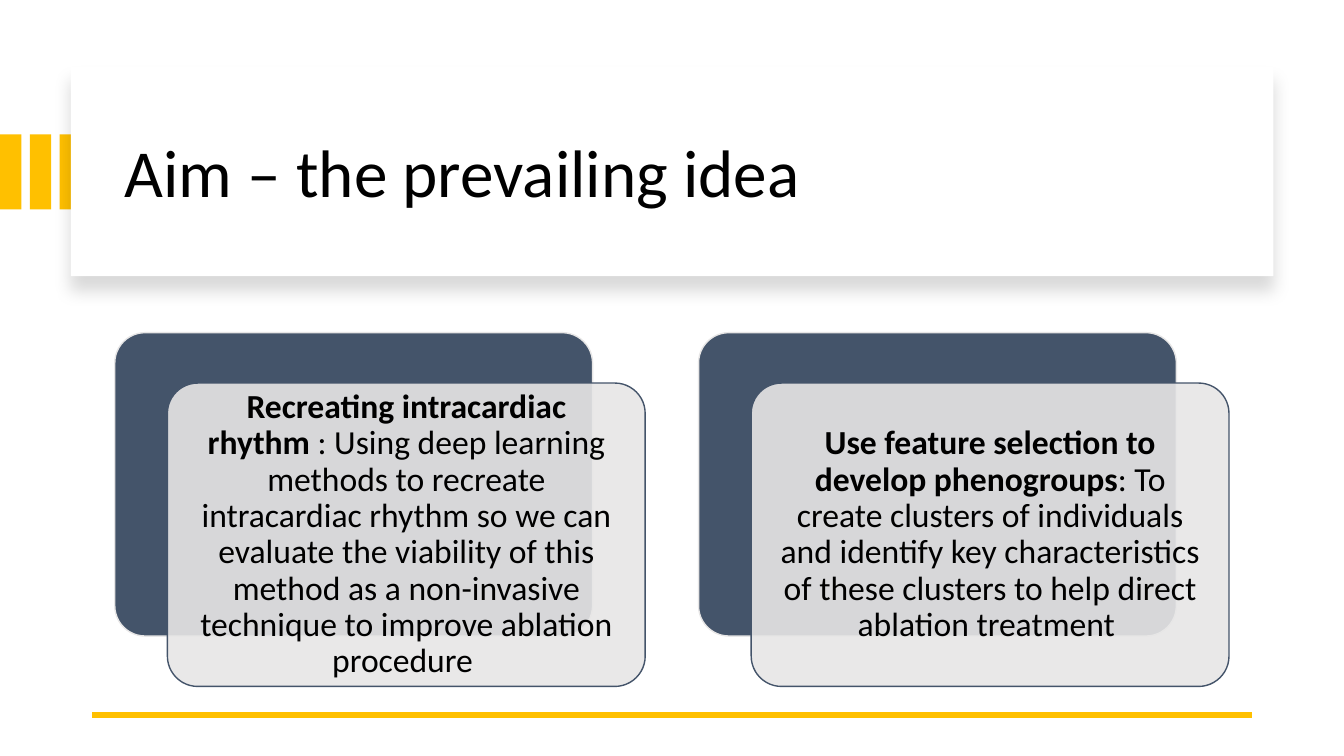
from dataclasses import dataclass

from lxml import etree
from pptx import Presentation
from pptx import util as u
from pptx.dml import color as col
from pptx.enum import shapes, text
from pptx.oxml import ns

Pt = u.Pt


@dataclass(frozen=True)
class Theme:
    gold: str = "FFC000"
    navy: str = "44546A"
    pale: str = "E7E6E6"
    white: str = "FFFFFF"
    ink: str = "000000"
    font: str = "Calibri"
    head: int = 48
    body: int = 24


def rgb(code):
    return col.RGBColor.from_string(code)


def sub(node, tag, **attrs):
    return etree.SubElement(node, ns.qn(tag), {k: str(v) for k, v in attrs.items()})


def write(frame, runs, *, size, font, ink, align=text.PP_ALIGN.LEFT, inset=(7.2, 3.6)):
    frame.word_wrap = True
    frame.vertical_anchor = text.MSO_ANCHOR.MIDDLE
    frame.margin_left = frame.margin_right = Pt(inset[0])
    frame.margin_top = frame.margin_bottom = Pt(inset[1])
    para = frame.paragraphs[0]
    para.alignment = align
    para.line_spacing = 0.9
    for words, bold in runs:
        run = para.add_run()
        run.text = words
        run.font.name = font
        run.font.size = Pt(size)
        run.font.bold = bold
        run.font.color.rgb = rgb(ink)


class Deck:
    def __init__(self, theme):
        self.theme = theme
        self.prs = Presentation()
        self.prs.slide_width, self.prs.slide_height = Pt(960), Pt(540)
        self.slide = self.prs.slides.add_slide(self.prs.slide_layouts[6])

    def block(self, x, y, w, h, fill, line=None, round=None, alpha=None):
        kind = shapes.MSO_SHAPE.RECTANGLE if round is None else shapes.MSO_SHAPE.ROUNDED_RECTANGLE
        box = self.slide.shapes.add_shape(kind, Pt(x), Pt(y), Pt(w), Pt(h))
        box.shadow.inherit = False
        if round is not None:
            box.adjustments[0] = round
        box.fill.solid()
        box.fill.fore_color.rgb = rgb(fill)
        if alpha is not None:
            tint = box.fill._xPr.find(".//" + ns.qn("a:srgbClr"))
            sub(tint, "a:alpha", val=alpha * 1000)
        if line is None:
            box.line.fill.background()
        else:
            box.line.color.rgb = rgb(line)
            box.line.width = Pt(1)
        return box

    def shade(self, box, blur, dist, alpha):
        list_ = box._element.spPr.find(ns.qn("a:effectLst"))
        drop = sub(list_, "a:outerShdw", blurRad=Pt(blur), dist=Pt(dist),
                   dir=5400000, algn="t", rotWithShape=0)
        tint = sub(drop, "a:srgbClr", val=self.theme.ink)
        sub(tint, "a:alpha", val=alpha * 1000)

    def label(self, x, y, w, h, runs, size, **form):
        box = self.slide.shapes.add_textbox(Pt(x), Pt(y), Pt(w), Pt(h))
        write(box.text_frame, runs, size=size, font=self.theme.font,
              ink=self.theme.ink, **form)

    def rule(self, x1, y1, x2, y2, width):
        line = self.slide.shapes.add_connector(
            shapes.MSO_CONNECTOR.STRAIGHT, Pt(x1), Pt(y1), Pt(x2), Pt(y2))
        line.line.color.rgb = rgb(self.theme.gold)
        line.line.width = Pt(width)
        sub(line._element.spPr, "a:effectLst")

    def card(self, x, y, runs):
        t = self.theme
        w, h = 341.3, 216.7
        self.block(x, y, w, h, t.navy, line=t.pale, round=0.1)
        self.block(x + 37.6, y + 36, w, h, t.pale, line=t.navy, round=0.1, alpha=90)
        self.label(x + 44, y + 42.4, w - 12.8, h - 12.8, runs, t.body,
                   align=text.PP_ALIGN.CENTER, inset=(7.2, 7.2))


AIMS = [
    [("Recreating intracardiac rhythm ", True),
     (": Using deep learning methods to recreate intracardiac rhythm so we can "
      "evaluate the viability of this method as a non-invasive technique to "
      "improve ablation procedure ", False)],
    [("Use feature selection to develop phenogroups", True),
     (": To create clusters of individuals and identify key characteristics of "
      "these clusters to help direct ablation treatment ", False)],
]


def main():
    theme = Theme()
    deck = Deck(theme)
    for i in range(3):
        deck.block(i * 21.3, 96, 15.3, 53.5, theme.gold)
    panel = deck.block(50.6, 48, 859, 149.2, theme.white)
    deck.shade(panel, blur=11, dist=10, alpha=15)
    deck.label(82, 64, 801.4, 122.4, [("Aim – the prevailing idea", False)], theme.head)
    deck.rule(894, 510.5, 66, 510.5, 4.5)
    for i, runs in enumerate(AIMS):
        deck.card(82 + i * 417, 237.6, runs)
    deck.prs.save("out.pptx")


if __name__ == "__main__":
    main()
